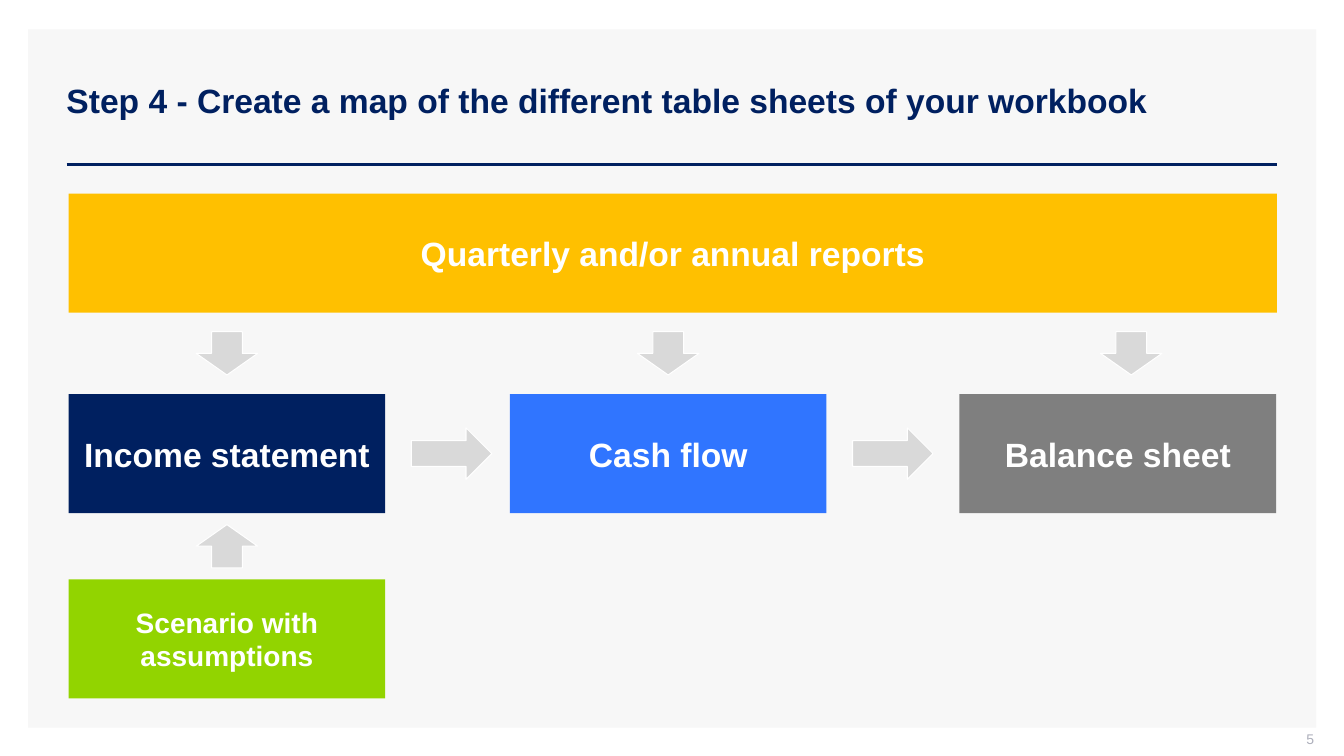
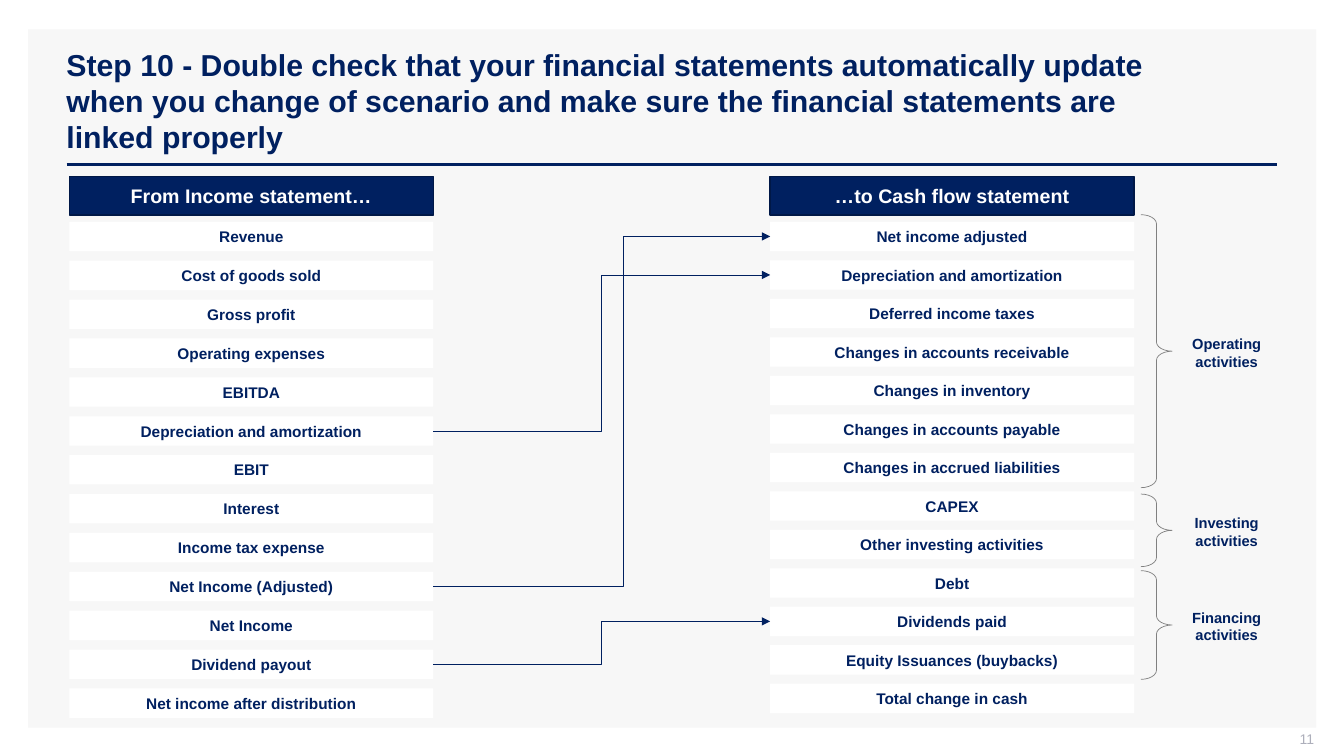
import dataclasses
import lxml.etree
import pptx
import pptx.dml.color
import pptx.enum.shapes
import pptx.enum.text
import pptx.oxml.ns
import pptx.util

Cm, Pt = pptx.util.Cm, pptx.util.Pt
KIND = pptx.enum.shapes.MSO_SHAPE
LINK = pptx.enum.shapes.MSO_CONNECTOR
ALIGN = pptx.enum.text.PP_ALIGN
MIDDLE = pptx.enum.text.MSO_ANCHOR.MIDDLE
rgb = pptx.dml.color.RGBColor.from_string
qn = pptx.oxml.ns.qn


@dataclasses.dataclass(frozen=True)
class Theme:
    font: str = "Arial"
    navy: str = "002060"
    edge: str = "001847"
    panel: str = "F7F7F7"
    white: str = "FFFFFF"
    blue: str = "3075FF"
    grey: str = "7F7F7F"
    gold: str = "FFC000"
    green: str = "92D400"
    arrow: str = "D9D9D9"
    brace: str = "808080"
    number: str = "ADAFBB"
    big: float = 24
    long: float = 21.6
    mid: float = 20
    head: float = 14
    row: float = 11
    label: float = 10.5
    small: float = 10


theme = Theme()


def write(shape, text, size, color, align=ALIGN.CENTER):
    """Fill a shape with bold text, anchored in the middle."""
    frame = shape.text_frame
    frame.text = text
    frame.word_wrap = True
    frame.auto_size = pptx.enum.text.MSO_AUTO_SIZE.NONE
    frame.vertical_anchor = MIDDLE
    for para in frame.paragraphs:
        para.alignment = align
        para.font.name = theme.font
        para.font.size = Pt(size)
        para.font.bold = True
        para.font.color.rgb = rgb(color)


def draw(slide, kind, left, top, width, height, fill=None, line=None, weight=0.75):
    """Add a preset shape, measured in centimetres."""
    shape = slide.shapes.add_shape(kind, Cm(left), Cm(top), Cm(width), Cm(height))
    shape.shadow.inherit = False
    if fill:
        shape.fill.solid()
        shape.fill.fore_color.rgb = rgb(fill)
    else:
        shape.fill.background()
    if line:
        shape.line.color.rgb = rgb(line)
        shape.line.width = Pt(weight)
    else:
        shape.line.fill.background()
    return shape


deck = pptx.Presentation()
deck.slide_width, deck.slide_height = Cm(33.87), Cm(19.05)
layout = deck.slide_layouts[5]

# Title place, shared through the layout
title = layout.placeholders[0]
title.left, title.top, title.width, title.height = Cm(1.42), Cm(1.02), Cm(30.76), Cm(3.02)

# Slides with title and page number
pages = [
    ("Step 4 - Create a map of the different table sheets of your workbook", theme.big, "5"),
    ("Step 10 - Double check that your financial statements automatically update\v"
     "when you change of scenario and make sure the financial statements are\v"
     "linked properly", theme.long, "11"),
]
for text, size, number in pages:
    slide = deck.slides.add_slide(layout)
    write(slide.shapes.title, text, size, theme.navy, ALIGN.LEFT)
    foot = slide.shapes.add_textbox(Cm(25.5), Cm(18.42), Cm(7.62), Cm(0.53))
    write(foot, number, theme.small, theme.number, ALIGN.RIGHT)
    foot.text_frame.paragraphs[0].font.bold = False
    foot.text_frame.margin_top = foot.text_frame.margin_right = 0
map_slide, link_slide = deck.slides

# Panel and rule, moved to the layout so that both slides share them
panel = draw(map_slide, KIND.RECTANGLE, 0.71, 0.74, 32.46, 17.6, theme.panel)
rule = map_slide.shapes.add_connector(LINK.STRAIGHT, Cm(1.68), Cm(4.14), Cm(32.18), Cm(4.14))
rule.line.color.rgb = rgb(theme.navy)
rule.line.width = Pt(2)
lxml.etree.SubElement(rule.element.spPr, qn("a:effectLst"))
for index, part in enumerate((panel, rule)):
    part.element.xpath(".//p:cNvPr")[0].set("id", str(20 + index))
    layout.shapes.element.insert(2 + index, part.element)

# Map: boxes
cols = [1.73, 12.85, 24.18]
wide, high = 7.98, 3
top, mid, low = 4.88, 9.93, 14.6
boxes = [
    ("Quarterly and/or annual reports", cols[0], top, 30.45, theme.gold, theme.big),
    ("Income statement", cols[0], mid, wide, theme.navy, theme.big),
    ("Cash flow", cols[1], mid, wide, theme.blue, theme.big),
    ("Balance sheet", cols[2], mid, wide, theme.grey, theme.big),
    ("Scenario with assumptions", cols[0], low, wide, theme.green, theme.mid),
]
for text, left, y, width, fill, size in boxes:
    box = draw(map_slide, KIND.RECTANGLE, left, y, width, high, fill)
    write(box, text, size, theme.white)

# Map: arrows, each given by its centre
down = (top + high + mid) / 2
up = (mid + high + low) / 2
arrows = [(KIND.DOWN_ARROW, x, down, 1.55, 1.09) for x in (5.72, 16.84, 28.51)]
arrows.append((KIND.UP_ARROW, cols[0] + wide / 2, up, 1.55, 1.09))
arrows += [(KIND.RIGHT_ARROW, left + wide + 1.67, mid + high / 2, 2.03, 1.3)
           for left in cols[:2]]
for kind, x, y, width, height in arrows:
    draw(map_slide, kind, x - width / 2, y - height / 2, width, height,
         theme.arrow, theme.white)

# Links: the two lists
lists = [
    ("From Income statement…", 1.75, 0.98, [
        "Revenue", "Cost of goods sold", "Gross profit", "Operating expenses",
        "EBITDA", "Depreciation and amortization", "EBIT", "Interest",
        "Income tax expense", "Net Income (Adjusted)", "Net Income",
        "Dividend payout", "Net income after distribution"]),
    ("…to Cash flow statement", 19.41, 0.97, [
        "Net income adjusted", "Depreciation and amortization",
        "Deferred income taxes", "Changes in accounts receivable",
        "Changes in inventory", "Changes in accounts payable",
        "Changes in accrued liabilities", "CAPEX", "Other investing activities",
        "Debt", "Dividends paid", "Equity Issuances (buybacks)",
        "Total change in cash"]),
]
rows = []
for head, left, step, names in lists:
    box = draw(link_slide, KIND.RECTANGLE, left, 4.45, 9.17, 0.97, theme.navy, theme.edge, 1)
    write(box, head, theme.head, theme.white)
    items = {}
    for index, name in enumerate(names):
        items[name] = draw(link_slide, KIND.RECTANGLE, left, 5.59 + index * step,
                           9.17, 0.74, theme.white)
        write(items[name], name, theme.row, theme.navy)
    rows.append(items)

# Links: braces with their labels
groups = [
    ("Operating activities", 5.41, 6.88),
    ("Investing activities", 12.45, 1.83),
    ("Financing activities", 14.38, 2.74),
]
for text, y, height in groups:
    brace = draw(link_slide, KIND.RIGHT_BRACE, 28.75, y, 0.79, height, None, theme.brace, 0.5)
    brace.adjustments[0] = 0.291
    label = link_slide.shapes.add_textbox(Cm(29.34), Cm(y + height / 2 - 0.54),
                                          Cm(3.15), Cm(1.14))
    write(label, text, theme.label, theme.navy)

# Links: elbow arrows from row to row, with the place of the bend
links = [
    ("Net Income (Adjusted)", "Net income adjusted", 56400),
    ("Depreciation and amortization", "Depreciation and amortization", 50000),
    ("Dividend payout", "Dividends paid", 50000),
]
for start, end, bend in links:
    link = link_slide.shapes.add_connector(LINK.ELBOW, 0, 0, 0, 0)
    link.begin_connect(rows[0][start], 3)
    link.end_connect(rows[1][end], 1)
    link.line.color.rgb = rgb(theme.navy)
    link.line.width = Pt(0.5)
    props = link.element.spPr
    lxml.etree.SubElement(props.find(qn("a:ln")), qn("a:tailEnd"), type="triangle")
    lxml.etree.SubElement(props, qn("a:effectLst"))
    shape = props.find(qn("a:prstGeom"))
    guides = shape.find(qn("a:avLst"))
    if guides is None:
        guides = lxml.etree.SubElement(shape, qn("a:avLst"))
    lxml.etree.SubElement(guides, qn("a:gd"), name="adj1", fmla=f"val {bend}")

deck.save("out.pptx")
